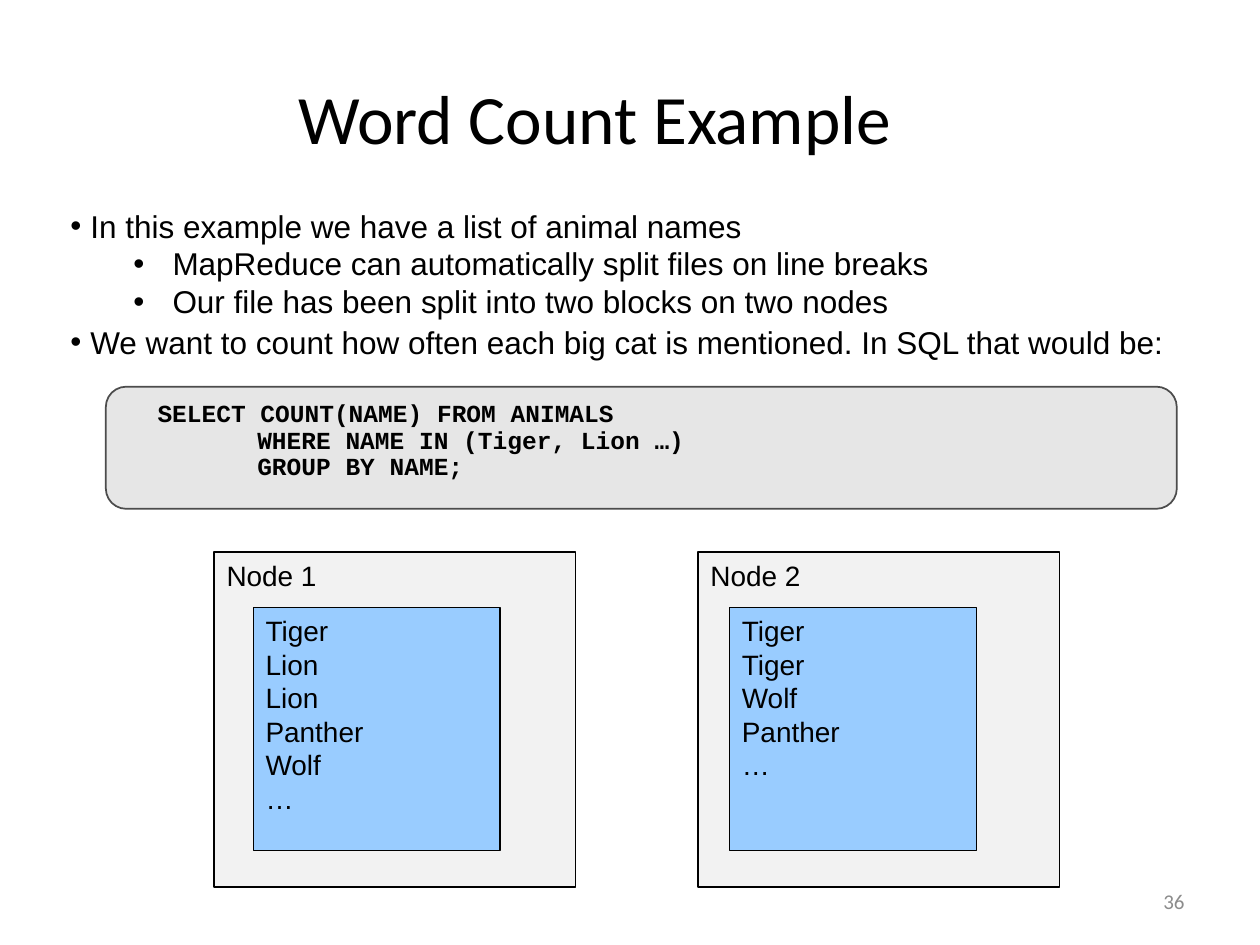
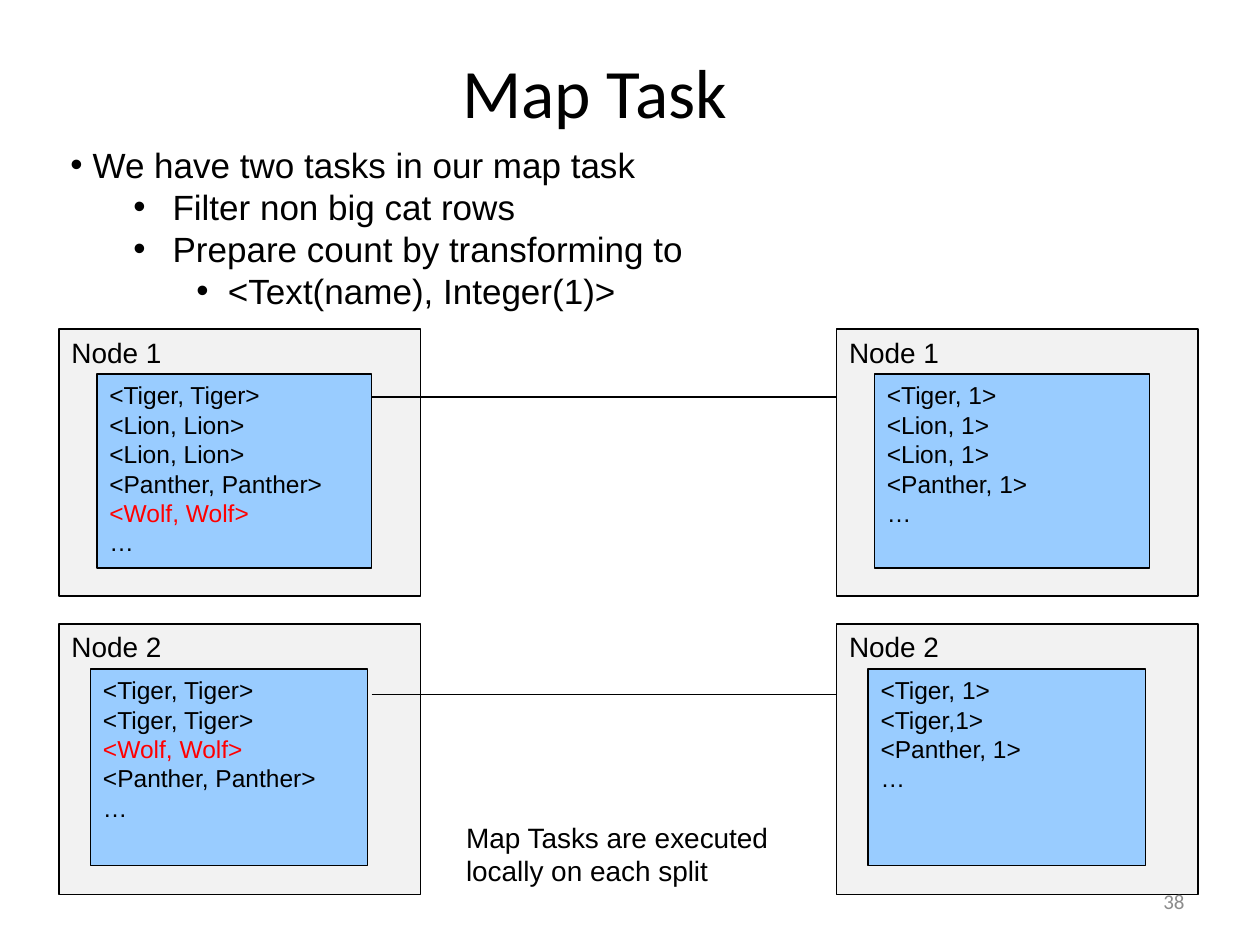
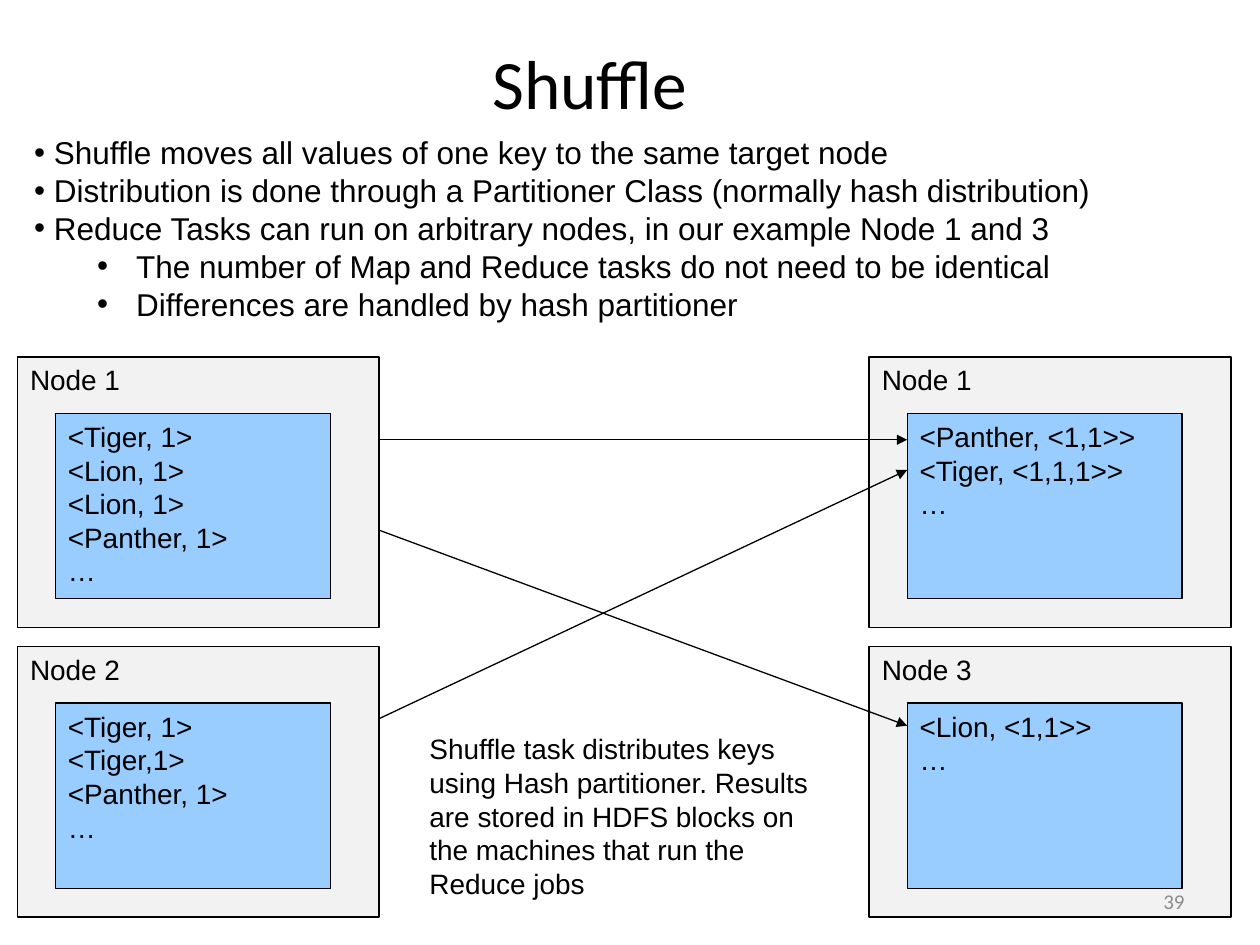
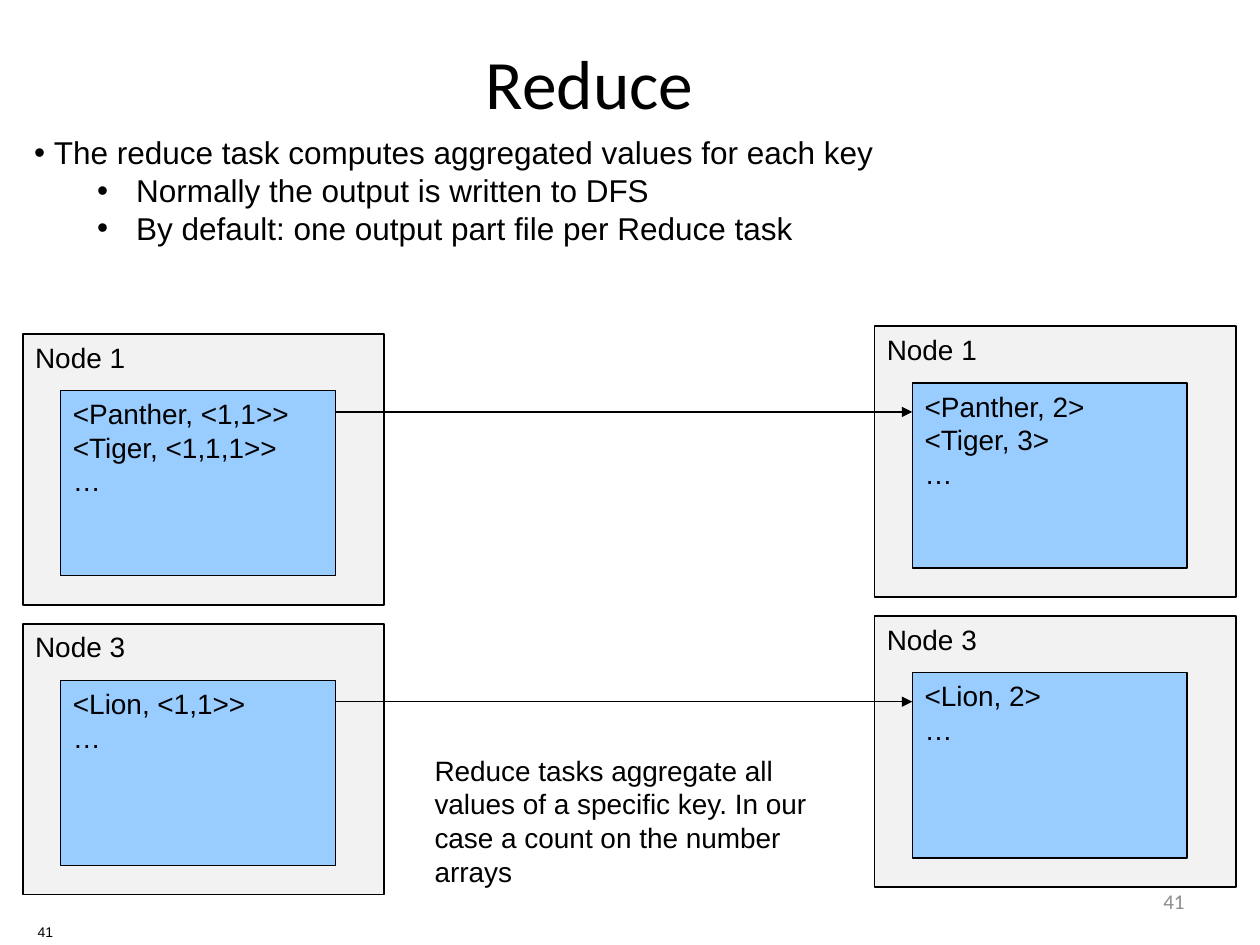
import pptx
import pptx.dml.color
import pptx.enum.shapes
import pptx.enum.text
import pptx.oxml.ns
import pptx.util
from lxml import etree

Pt = pptx.util.Pt
SHAPE = pptx.enum.shapes.MSO_SHAPE
ALIGN = pptx.enum.text.PP_ALIGN
ANCHOR = pptx.enum.text.MSO_ANCHOR

# Shared style
BLACK, RED, PALE, BLUE = "000000", "FF0000", "F2F2F2", "99CCFF"
GREY, EDGE, FAINT = "E6E6E6", "4C4C4C", "8C8C8C"
SANS, HEAD, MONO = "Arial", "Calibri", "Courier New"
WIDE = 206.6                      # width of a node
INNER = (21.6, 32.4, 157, 105.8)  # data block inside a node


def paint(target, color):
    target.rgb = pptx.dml.color.RGBColor.from_string(color)


def child(parent, tag, **attrs):
    return etree.SubElement(parent, pptx.oxml.ns.qn(tag), attrs)


def write(shape, lines, size=16, font=SANS, color=BLACK, bold=False,
          align=ALIGN.LEFT, anchor=ANCHOR.TOP, inset=(7.2, 3.6, 7.2, 3.6),
          spacing=None):
    """Fill a shape; a line is a string or (string, options)."""
    frame = shape.text_frame
    frame.word_wrap = True
    frame.vertical_anchor = anchor
    (frame.margin_left, frame.margin_top,
     frame.margin_right, frame.margin_bottom) = map(Pt, inset)
    for i, line in enumerate(lines):
        words, opts = (line, {}) if isinstance(line, str) else line
        para = frame.paragraphs[0] if i == 0 else frame.add_paragraph()
        para.alignment = align
        props = para._p.get_or_add_pPr()
        left, first = opts.get("indent", (0, 0))
        props.set("marL", str(int(Pt(left))))
        props.set("indent", str(int(Pt(first))))
        if opts.get("bullet"):
            tint = child(props, "a:buClr")
            child(tint, "a:srgbClr", val=BLACK)
            child(props, "a:buFont", typeface=SANS)
            child(props, "a:buChar", char="•")
        if spacing:
            para.line_spacing = spacing
        if "before" in opts:
            para.space_before = Pt(opts["before"])
        run = para.add_run()
        run.text = words
        run.font.size, run.font.name, run.font.bold = Pt(size), font, bold
        paint(run.font.color, opts.get("color", color))


def label(slide, box, lines, **fmt):
    write(slide.shapes.add_textbox(*map(Pt, box)), lines, **fmt)


def block(slide, box, fill, line=BLACK, width=1, kind=SHAPE.RECTANGLE):
    shape = slide.shapes.add_shape(kind, *map(Pt, box))
    shape.shadow.inherit = False
    shape.fill.solid()
    paint(shape.fill.fore_color, fill)
    paint(shape.line.color, line)
    shape.line.width = Pt(width)
    return shape


def wire(slide, start, end):
    """Thin arrow between two points."""
    line = slide.shapes.add_connector(
        pptx.enum.shapes.MSO_CONNECTOR.STRAIGHT, *map(Pt, start + end))
    paint(line.line.color, BLACK)
    line.line.width = Pt(0.75)
    child(line.line._get_or_add_ln(), "a:tailEnd", type="triangle")
    child(line._element.spPr, "a:effectLst")


def page(deck, title, number, left, top):
    """New slide with its title and page number."""
    slide = deck.slides.add_slide(deck.slide_layouts[6])
    label(slide, (left, top, 653.8, 41), [title], size=39.6, font=HEAD,
          align=ALIGN.CENTER, anchor=ANCHOR.BOTTOM)
    return slide, lambda: label(
        slide, (516.2, 500.4, 167.8, 28.8), [number], size=12, font=HEAD,
        color=FAINT, align=ALIGN.RIGHT, anchor=ANCHOR.MIDDLE)


def points(slide, left, top, items, size=18):
    """Bullet list; an item is (level, words) plus an optional gap above."""
    hang = round(size * 0.63, 2)
    steps = [(hang, -hang), (58.3, -22.3), (90, -18)]
    lines = []
    for level, words, *gap in items:
        opts = {"bullet": True, "indent": steps[level]}
        if gap:
            opts["before"] = gap[0]
        lines.append((words, opts))
    label(slide, (left, top, 651.6, 36), lines, size=size,
          inset=(6.5, 2.9, 6.5, 2.9))


def code(slide, box):
    """Rounded panel with the query."""
    x, y, w, h = box
    block(slide, box, GREY, EDGE, kind=SHAPE.ROUNDED_RECTANGLE)
    deep = {"indent": (57, 0)}
    label(slide, (x + 29.5, y + 6.5, w - 49.7, h - 13.7),
          ["SELECT COUNT(NAME) FROM ANIMALS",
           ("WHERE NAME IN (Tiger, Lion …)", deep),
           ("GROUP BY NAME;", deep)],
          size=14, font=MONO, bold=True, inset=(0, 2.2, 0, 0), spacing=0.89)


def node(slide, x, y, name, rows, high=154.8, inner=INNER, size=16):
    """Node box holding a block of data rows, always closed by an ellipsis."""
    write(block(slide, (x, y, WIDE, high), PALE), [name])
    dx, dy, w, h = inner
    data = block(slide, (x + dx, y + dy, w, h), BLUE, width=0.75)
    write(data, [(row, {"color": RED if row.startswith("<Wolf") else BLACK})
                 for row in rows + ["…"]], size=size)


def column(slide, x, top, *nodes):
    """Full-size nodes stacked at an equal pitch."""
    for i, (name, rows) in enumerate(nodes):
        node(slide, x, top + i * 165.6, name, rows)


# Data rows that move from step to step
ONES = ["<Tiger, 1>", "<Lion, 1>", "<Lion, 1>", "<Panther, 1>"]
TWOS = ["<Tiger, 1>", "<Tiger,1>", "<Panther, 1>"]
CATS = ["<Panther, <1,1>>", "<Tiger, <1,1,1>>"]
LIONS = ["<Lion, <1,1>>"]


def count(deck):
    slide, footer = page(deck, "Word Count Example", "36", 13, 53.3)
    points(slide, 33.8, 115.2, [
        (0, "In this example we have a list of animal names"),
        (1, "MapReduce can automatically split files on line breaks"),
        (1, "Our file has been split into two blocks on two nodes"),
        (0, "We want to count how often each big cat is mentioned. "
            "In SQL that would be:", 1.8)])
    code(slide, (60.5, 221, 612, 69.8))
    for x, dx, name, rows in (
            (398.9, 18, "Node 2", ["Tiger", "Tiger", "Wolf", "Panther"]),
            (122.4, 22.3, "Node 1",
             ["Tiger", "Lion", "Lion", "Panther", "Wolf"])):
        node(slide, x, 315.4, name, rows, 191.5, (dx, 31.7, 141.1, 139))
    footer()


def mapping(deck):
    slide, footer = page(deck, "Map Task", "38", 13, 38.2)
    points(slide, 33.8, 79.2, [
        (0, "We have two tasks in our map task"),
        (1, "Filter non big cat rows"),
        (1, "Prepare count by transforming to"),
        (2, "<Text(name), Integer(1)>")], size=20)
    # Arrows lie between the left and the right nodes
    pairs = ["<Tiger, Tiger>", "<Lion, Lion>", "<Lion, Lion>",
             "<Panther, Panther>", "<Wolf, Wolf>"]
    more = ["<Tiger, Tiger>", "<Tiger, Tiger>", "<Wolf, Wolf>",
            "<Panther, Panther>"]
    rows = ((187.9, 152.6, (21.6, 25.9, 157, 110.9), "Node 1", pairs, ONES),
            (356.4, 154.8, (18, 25.9, 158.4, 112.3), "Node 2", more, TWOS))
    for y, high, inner, name, data, _ in rows:
        node(slide, 33.8, y, name, data, high, inner, 14)
    wire(slide, (212.4, 226.8), (500.4, 226.8))
    wire(slide, (212.4, 396.7), (496.8, 396.7))
    label(slide, (259.2, 465.1, 203, 46.1),
          ["Map Tasks are executed locally on each split"])
    for y, high, inner, name, _, data in rows:
        node(slide, 478.1, y, name, data, high, inner, 14)
    footer()


def shuffle(deck):
    slide, footer = page(deck, "Shuffle", "39", 10.1, 33.1)
    points(slide, 13, 73.4, [
        (0, "Shuffle moves all values of one key to the same target node"),
        (0, "Distribution is done through a Partitioner Class "
            "(normally hash distribution)"),
        (0, "Reduce Tasks can run on arbitrary nodes, "
            "in our example Node 1 and 3"),
        (1, "The number of Map and Reduce tasks do not need to be identical"),
        (1, "Differences are handled by hash partitioner")])
    column(slide, 496.8, 203.8, ("Node 1", CATS), ("Node 3", LIONS))
    label(slide, (238.3, 414.7, 243.4, 103.7),
          ["Shuffle task distributes keys using Hash partitioner. Results "
           "are stored in HDFS blocks on the machines that run the "
           "Reduce jobs"])
    # Arrows start behind the left nodes
    wire(slide, (123.8, 251.3), (518.4, 251.3))
    wire(slide, (123.8, 268.6), (518.4, 414.7))
    wire(slide, (136.1, 448.6), (518.4, 268.6))
    column(slide, 10.1, 203.8, ("Node 1", ONES), ("Node 2", TWOS))
    footer()


def reduce(deck):
    slide, footer = page(deck, "Reduce", "41", 10.1, 33.1)
    points(slide, 13, 73.4, [
        (0, "The reduce task computes aggregated values for each key"),
        (1, "Normally the output is written to DFS"),
        (1, "By default: one output part file per Reduce task")])
    column(slide, 13, 190.8, ("Node 1", CATS), ("Node 3", LIONS))
    column(slide, 499.7, 186.5, ("Node 1", ["<Panther, 2>", "<Tiger, 3>"]),
           ("Node 3", ["<Lion, 2>"]))
    for y in (235.4, 401):
        wire(slide, (191.5, y), (521.3, y))
    label(slide, (241.2, 427, 243.4, 84.2),
          ["Reduce tasks aggregate all values of a specific key. "
           "In our case a count on the number arrays"])
    label(slide, (13, 524.2, 24.5, 15.8), ["41"], size=8, align=ALIGN.RIGHT)
    footer()


def main():
    deck = pptx.Presentation()
    deck.slide_width, deck.slide_height = Pt(720), Pt(540)
    for build in (count, mapping, shuffle, reduce):
        build(deck)
    deck.save("out.pptx")


if __name__ == "__main__":
    main()
